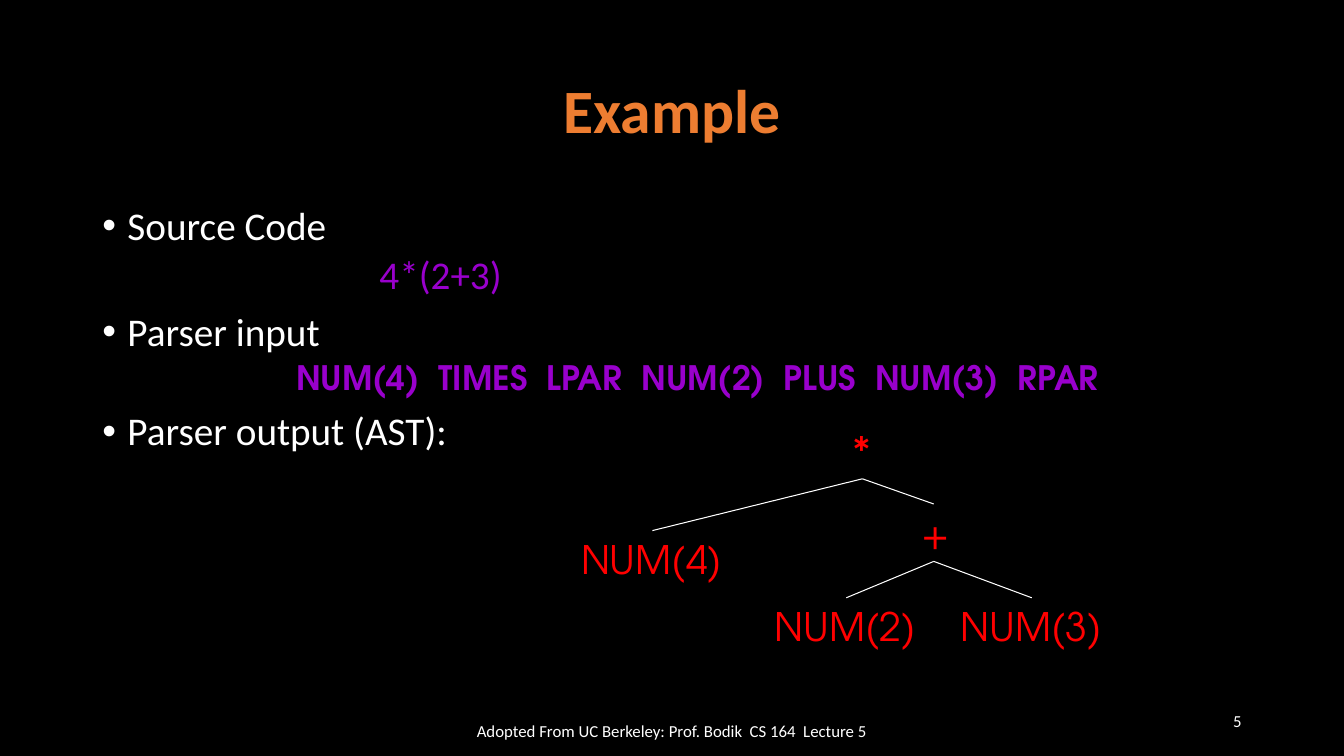
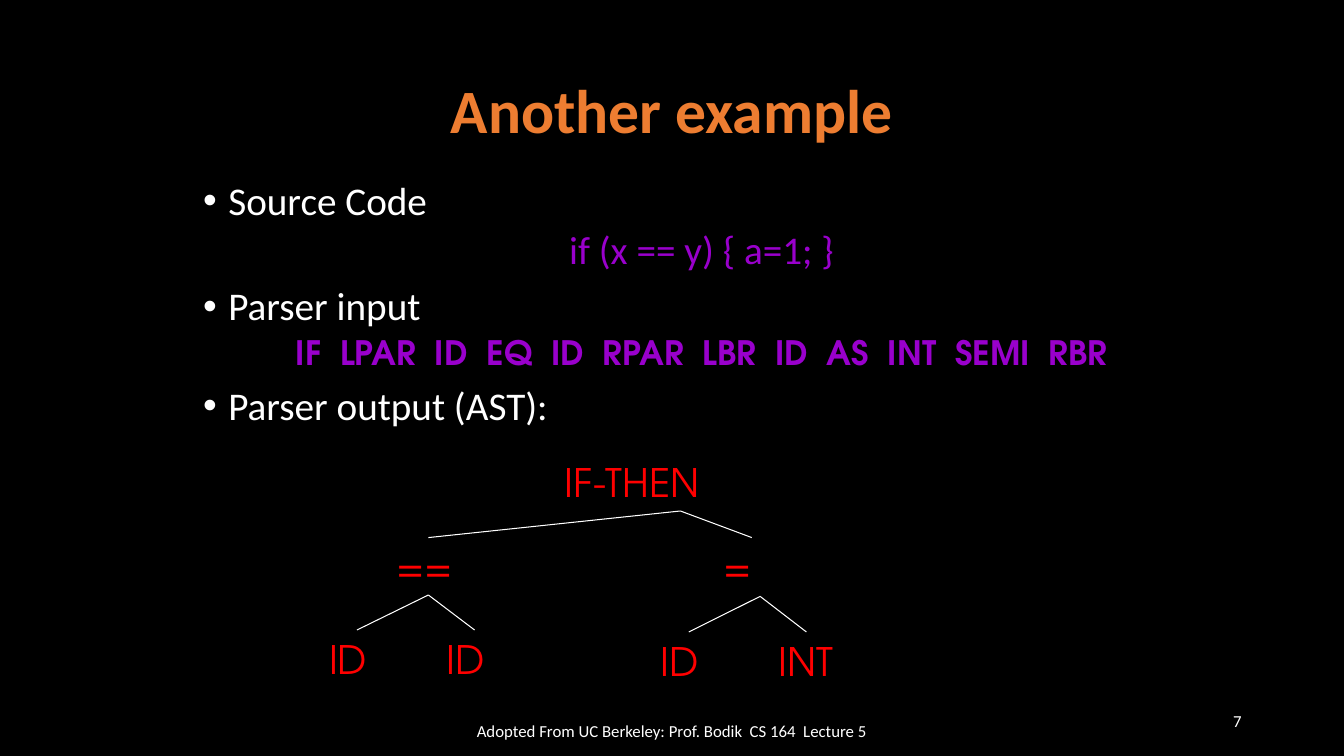
import collections

import lxml.etree
import pptx
import pptx.dml.color
import pptx.enum.shapes
import pptx.enum.text
import pptx.oxml.ns
import pptx.util

Pt = pptx.util.Pt
RGBColor = pptx.dml.color.RGBColor
ALIGN = pptx.enum.text.PP_ALIGN
ANCHOR = pptx.enum.text.MSO_ANCHOR

BLACK = RGBColor(0x00, 0x00, 0x00)
WHITE = RGBColor(0xFF, 0xFF, 0xFF)
ORANGE = RGBColor(0xED, 0x7D, 0x31)
PURPLE = RGBColor(0x99, 0x00, 0xCC)
RED = RGBColor(0xFF, 0x00, 0x00)

TEXT_FONT = "Calibri"
TOKEN_FONT = "TeX Gyre Adventor"
FOOTER = "Adopted From UC Berkeley: Prof. Bodik  CS 164  Lecture 5"
NODE_HEIGHT = 41

Node = collections.namedtuple("Node", "label center top width")


class Lecture:
    """Holds the deck, its style and the slide being built."""

    def __init__(self):
        self.deck = pptx.Presentation()
        self.deck.slide_width = Pt(960)
        self.deck.slide_height = Pt(540)
        fill = self.deck.slide_master.background.fill
        fill.solid()
        fill.fore_color.rgb = BLACK
        self.slide = None

    def add_slide(self, title, number):
        self.slide = self.deck.slides.add_slide(self.deck.slide_layouts[5])
        holder = self.slide.shapes.title
        holder.left, holder.top = Pt(66), Pt(28.8)
        holder.width, holder.height = Pt(828), Pt(104.4)
        frame = holder.text_frame
        frame.vertical_anchor = ANCHOR.MIDDLE
        para = frame.paragraphs[0]
        para.alignment = ALIGN.CENTER
        para.line_spacing = 0.9
        self.add_run(para, title, 44, ORANGE, bold=True)
        self.add_label(FOOTER, 318, 507.6, 324, ALIGN.CENTER)
        self.add_label(number, 678, 500.4, 216, ALIGN.RIGHT)

    def add_run(self, para, text, size, color, font=TEXT_FONT, bold=False):
        span = para.add_run()
        span.text = text
        span.font.name = font
        span.font.size = Pt(size)
        span.font.bold = bold
        span.font.color.rgb = color

    def add_box(self, left, top, width, height):
        box = self.slide.shapes.add_textbox(Pt(left), Pt(top), Pt(width), Pt(height))
        box.text_frame.word_wrap = True
        return box.text_frame

    def add_label(self, text, left, top, width, alignment):
        frame = self.add_box(left, top, width, 28.8)
        frame.vertical_anchor = ANCHOR.MIDDLE
        para = frame.paragraphs[0]
        para.alignment = alignment
        self.add_run(para, text, 12, WHITE)

    def format_para(self, para, space_before, margin, bullet=False):
        para.line_spacing = 0.9
        para.space_before = Pt(space_before)
        properties = para._p.get_or_add_pPr()
        properties.set("marL", str(Pt(margin)))
        properties.set("indent", str(Pt(-margin if bullet else 0)))
        if bullet:
            for tag, name, value in (("a:buFont", "typeface", "Arial"), ("a:buChar", "char", "•")):
                mark = lxml.etree.SubElement(properties, pptx.oxml.ns.qn(tag))
                mark.set(name, value)

    def add_steps(self, left, top, width, height, code, tokens, code_margin=None):
        """Lists the parsing steps; the code is centred unless given a left margin."""
        frame = self.add_box(left, top, width, height)
        paras = [frame.paragraphs[0]] + [frame.add_paragraph() for _ in range(4)]
        for para, heading in zip(paras[::2], ("Source Code", "Parser input", "Parser output (AST):")):
            self.format_para(para, 10, 18, bullet=True)
            self.add_run(para, heading, 28, WHITE)
        code_para, token_para = paras[1::2]
        self.format_para(code_para, 5, code_margin or 36)
        code_para.alignment = ALIGN.LEFT if code_margin else ALIGN.CENTER
        self.add_run(code_para, code, 28, PURPLE)
        self.format_para(token_para, 5, 36)
        token_para.alignment = ALIGN.CENTER
        self.add_run(token_para, tokens, 24, PURPLE, TOKEN_FONT, bold=True)

    def add_node(self, node):
        frame = self.add_box(node.center - node.width / 2, node.top, node.width, NODE_HEIGHT)
        frame.margin_right = 0
        self.add_run(frame.paragraphs[0], node.label, 28, RED, TOKEN_FONT)

    def add_branches(self, parent, children, shift=(0, 0)):
        """Joins the foot of the parent, moved by shift, to the top of each child."""
        for child in children:
            line = self.slide.shapes.add_connector(
                pptx.enum.shapes.MSO_CONNECTOR.STRAIGHT,
                Pt(parent.center + shift[0]), Pt(parent.top + NODE_HEIGHT + shift[1]),
                Pt(child.center), Pt(child.top))
            line.line.color.rgb = WHITE
            line.line.width = Pt(0.75)
            lxml.etree.SubElement(line._element.spPr, pptx.oxml.ns.qn("a:effectLst"))


def build_product_slide(lecture):
    lecture.add_slide("Example", "5")
    lecture.add_steps(66, 144, 828, 342.7, "4*(2+3)",
                      "NUM(4)  TIMES  LPAR  NUM(2)  PLUS  NUM(3)  RPAR", code_margin=198)
    times = Node("*", 616, 301, 27)
    four = Node("NUM(4)", 466, 379, 116)
    plus = Node("+", 667, 360, 32)
    two = Node("NUM(2)", 604.5, 427, 116)
    three = Node("NUM(3)", 737, 427, 116)
    for node in (times, four, plus, two, three):
        lecture.add_node(node)
    lecture.add_branches(times, (four, plus))
    lecture.add_branches(plus, (two, three))


def build_condition_slide(lecture):
    lecture.add_slide("Another example", "7")
    lecture.add_steps(138, 126, 690, 348, "if (x == y) { a=1; }",
                      "IF  LPAR  ID  EQ  ID  RPAR  LBR  ID  AS  INT  SEMI  RBR")
    if_then = Node("IF-THEN", 486, 324, 180)
    equal = Node("==", 306, 384, 60)
    assign = Node("=", 537, 384, 54)
    operands = [Node("ID", center, 450, 54) for center in (255, 339)]
    target = Node("ID", 492, 451.4, 54)
    value = Node("INT", 576, 451.4, 54)
    for node in (if_then, equal, assign, *operands, target, value):
        lecture.add_node(node)
    lecture.add_branches(if_then, (equal, assign))
    lecture.add_branches(equal, operands)
    lecture.add_branches(assign, (target, value), shift=(6, 1))


def main():
    lecture = Lecture()
    build_product_slide(lecture)
    build_condition_slide(lecture)
    lecture.deck.save("out.pptx")


if __name__ == "__main__":
    main()
